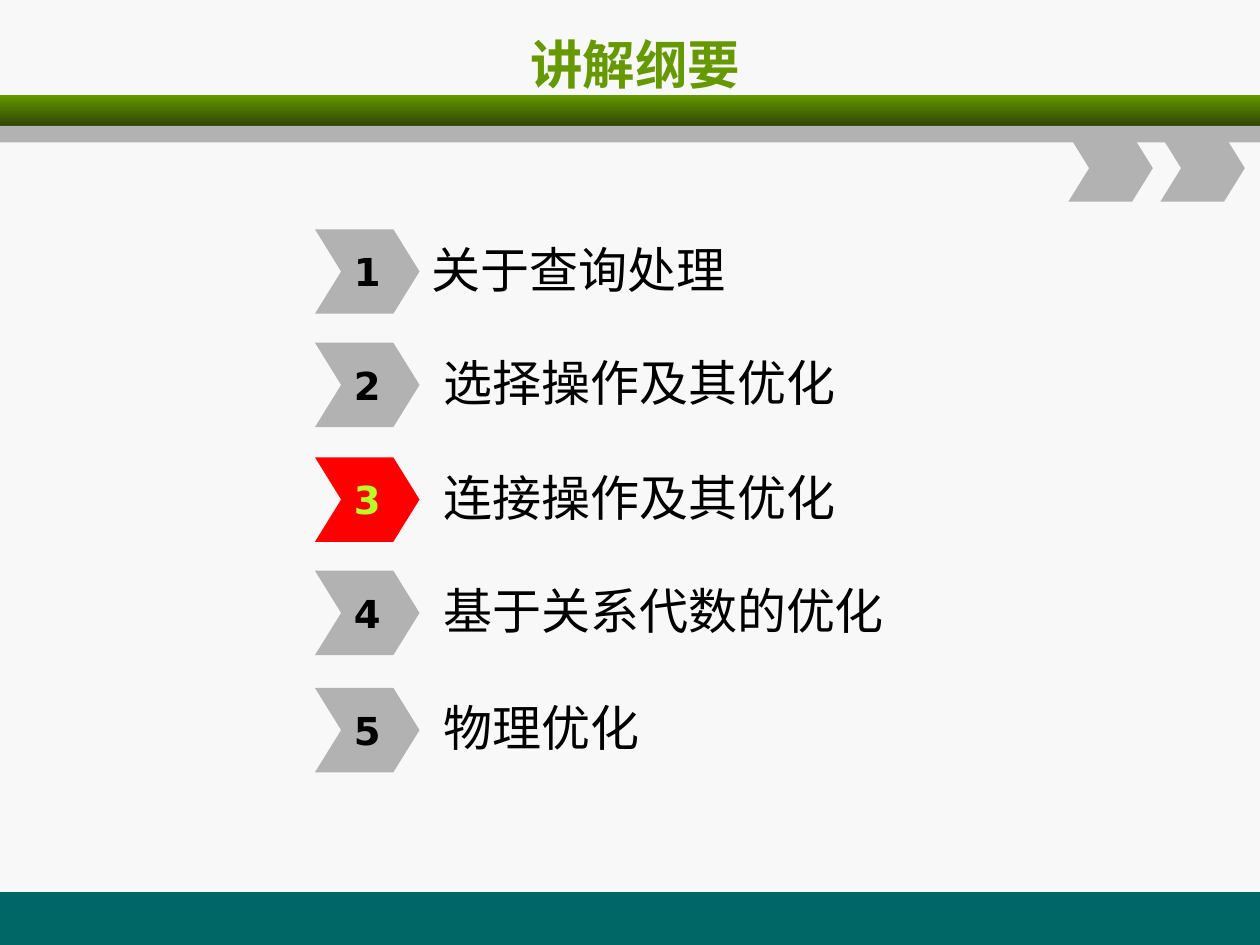
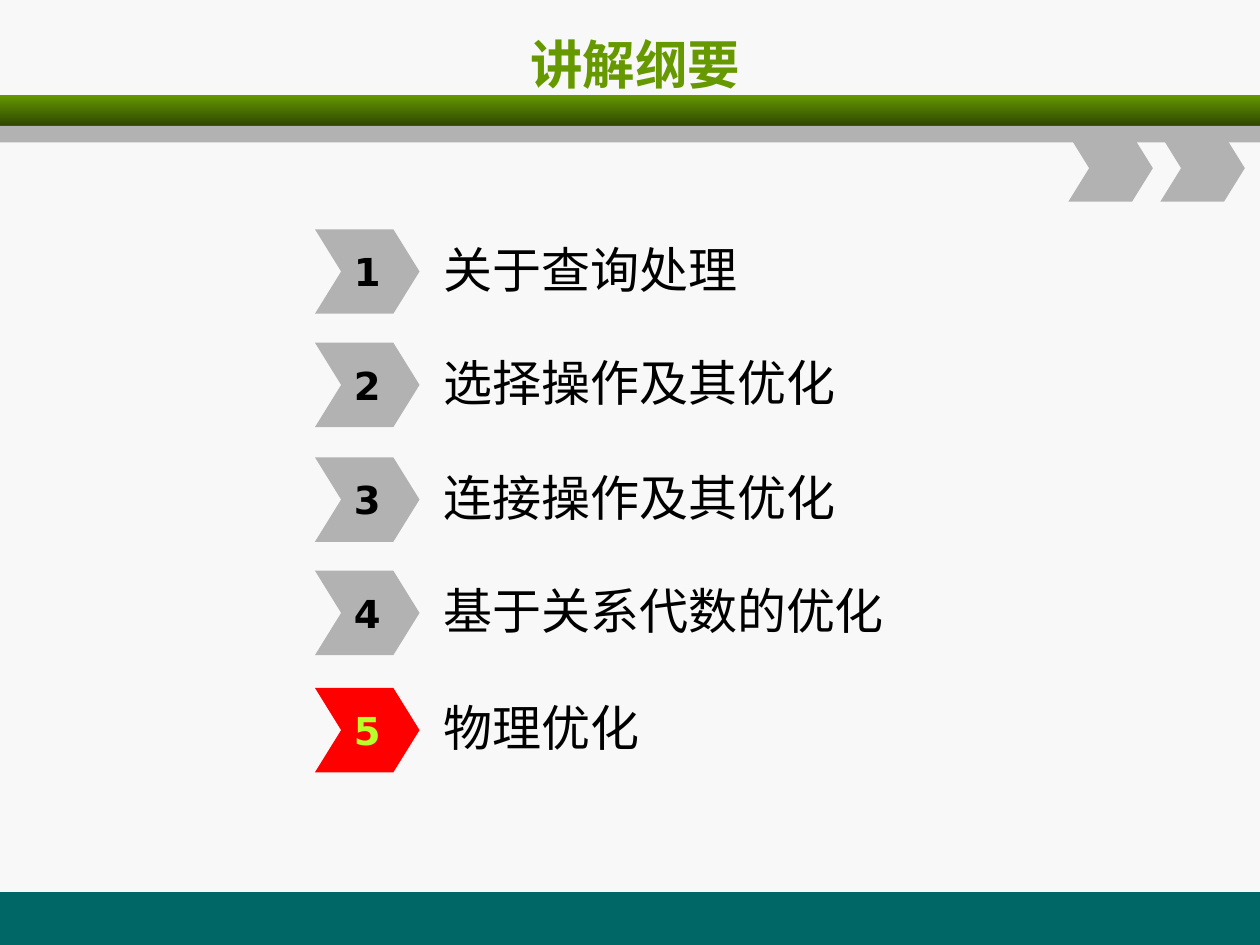
from lxml.etree import SubElement
from pptx import Presentation
from pptx.dml.color import RGBColor
from pptx.enum.shapes import MSO_SHAPE as SHAPE
from pptx.enum.text import MSO_ANCHOR as ANCHOR, MSO_AUTO_SIZE as AUTO_SIZE, PP_ALIGN as ALIGN
from pptx.oxml.ns import qn
from pptx.util import Inches, Pt

BACKGROUND, GREEN, DARK_GREEN = "F8F8F8", "669900", "2F4600"
TEAL, GRAY, BLACK = "006666", "B2B2B2", "000000"
ACTIVE_FILL, ACTIVE_TEXT = "FF0000", "B8FF29"
LATIN_FONT, CJK_FONT = "DejaVu Sans", "Noto Sans CJK SC"

TITLE = "讲解纲要"
TOPICS = ["关于查询处理", "选择操作及其优化", "连接操作及其优化", "基于关系代数的优化", "物理优化"]
ROW_TOPS = [1.82, 2.72, 3.63, 4.53, 5.46]
INSET, WIDE_INSET = 0.1, 0.19


def rgb(value):
    """Return the colour for a hex string."""
    return RGBColor.from_string(value)


def write(sp, text, size, color, font, align=ALIGN.LEFT, bold=False, wrap=True):
    """Put one formatted, vertically centred line of text in a shape."""
    tf = sp.text_frame
    tf.text = text
    tf.word_wrap = wrap
    tf.auto_size = AUTO_SIZE.NONE
    tf.vertical_anchor = ANCHOR.MIDDLE
    p = tf.paragraphs[0]
    p.alignment = align
    p.font.size, p.font.bold, p.font.name = Pt(size), bold, font
    p.font.color.rgb = rgb(color)
    east_asian = SubElement(p._p.pPr.find(qn("a:defRPr")), qn("a:ea"))
    east_asian.set("typeface", CJK_FONT)


def add_filled(s, kind, box, color):
    """Add a borderless preset shape with a plain fill."""
    sp = s.shapes.add_shape(kind, *map(Inches, box))
    sp.shadow.inherit = False
    sp.fill.solid()
    sp.fill.fore_color.rgb = rgb(color)
    sp.line.fill.background()
    return sp


def add_chevron(s, box, color):
    """Add a chevron with the shared point depth."""
    sp = add_filled(s, SHAPE.CHEVRON, box, color)
    sp.adjustments[0] = 0.31
    return sp


def add_header(s, left, top, width):
    """Draw the gradient band, the gray band and the two chevrons below."""
    band = add_filled(s, SHAPE.RECTANGLE, (left, top, width, 0.25), GREEN)
    band.fill.gradient()
    band.fill.gradient_angle = 270
    for stop, color in zip(band.fill.gradient_stops, (GREEN, DARK_GREEN)):
        stop.color.rgb = rgb(color)
    add_filled(s, SHAPE.RECTANGLE, (left, top + 0.25, width, 0.13), GRAY)
    for offset in (1.52, 0.79):
        add_chevron(s, (left + width - offset, top + 0.32, 0.67, 0.53), GRAY)


def add_title(s, box):
    """Place and format the title placeholder."""
    sp = s.shapes.title
    sp.left, sp.top, sp.width, sp.height = map(Inches, box)
    write(sp, TITLE, 30, GREEN, LATIN_FONT, ALIGN.CENTER, bold=True)


def add_topic(s, left, top, number, topic, active, inset):
    """Draw one agenda row: a numbered chevron and its topic."""
    width = 0.83
    marker = add_chevron(s, (left, top, width, 0.67), ACTIVE_FILL if active else GRAY)
    write(marker, str(number), 22, ACTIVE_TEXT if active else BLACK, LATIN_FONT,
          ALIGN.CENTER, bold=True, wrap=False)
    label = s.shapes.add_textbox(*map(Inches, (left + width, top + 0.02, 5.92, 0.58)))
    write(label, topic, 28, BLACK, CJK_FONT)
    label.text_frame.margin_left = Inches(inset)


def add_agenda_slide(prs, active, first_inset=WIDE_INSET):
    """Add an agenda slide with one topic highlighted."""
    s = prs.slides.add_slide(prs.slide_layouts[5])
    add_filled(s, SHAPE.RECTANGLE, (0, 7.08, 10, 0.42), TEAL)
    add_header(s, 0, 0.75, 10)
    add_title(s, (0.54, 0.17, 9, 0.67))
    for number, (topic, top) in enumerate(zip(TOPICS, ROW_TOPS), 1):
        inset = first_inset if number == 1 else WIDE_INSET
        add_topic(s, 2.5, top, number, topic, number == active, inset)


def main():
    """Build and save the presentation."""
    prs = Presentation()
    prs.slide_width, prs.slide_height = Inches(10), Inches(7.5)
    fill = prs.slide_master.background.fill
    fill.solid()
    fill.fore_color.rgb = rgb(BACKGROUND)
    add_agenda_slide(prs, 3, first_inset=INSET)
    add_agenda_slide(prs, 5)
    prs.save("out.pptx")


if __name__ == "__main__":
    main()
